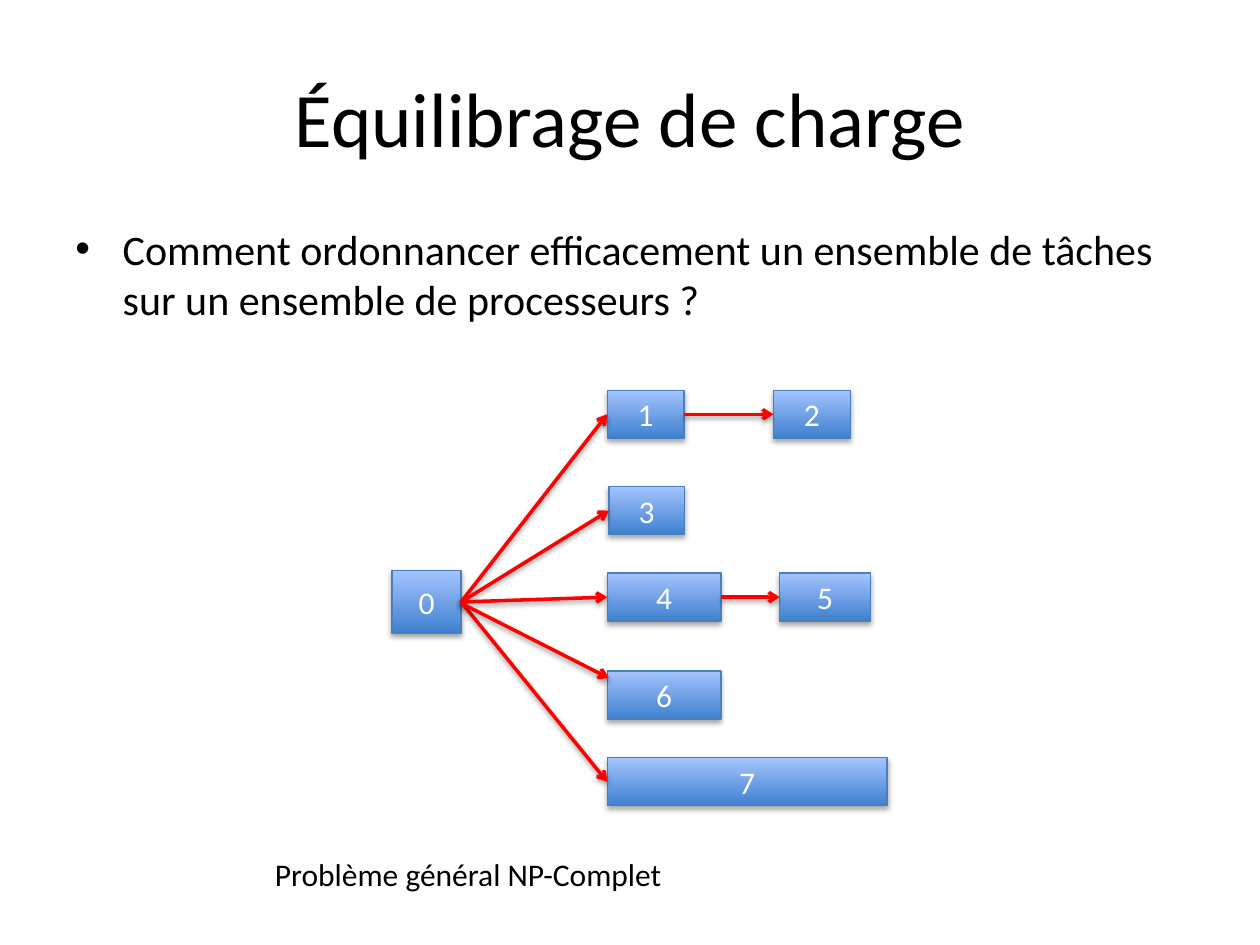
from lxml.etree import SubElement
from pptx import Presentation
from pptx.dml.color import RGBColor
from pptx.enum.shapes import MSO_CONNECTOR as Connector, MSO_SHAPE as Shape
from pptx.enum.text import MSO_ANCHOR as Anchor, PP_ALIGN as Align
from pptx.oxml.ns import qn
from pptx.util import Pt

BLACK, WHITE, RED = "000000", "FFFFFF", "FF0000"
BOX_BOTTOM, BOX_TOP, BOX_EDGE = "3F80CE", "A4C4FF", "4B7EBC"
LEFT_SITE, RIGHT_SITE = 1, 3
ROW_HEIGHT = 27.5

# Task number: left, top, width, height
TASKS = {
    0: (224, 326, 39.5, 36),
    4: (347, 327.5, 65, ROW_HEIGHT),
    6: (347, 383.5, 65, ROW_HEIGHT),
    5: (445.5, 327.5, 52, ROW_HEIGHT),
    2: (442, 223, 44, ROW_HEIGHT),
    3: (348, 278, 43, ROW_HEIGHT),
    7: (347, 433, 160, ROW_HEIGHT),
    1: (347, 223, 44, ROW_HEIGHT),
}
DEPENDENCIES = [(0, 1), (0, 3), (0, 4), (0, 7), (1, 2), (4, 5)]


def color(hex_value):
    return RGBColor.from_string(hex_value)


def points(*lengths):
    return [Pt(length) for length in lengths]


def set_values(target, values):
    for name, value in values.items():
        setattr(target, name, value)


def write(frame, text, size, hex_value, align=Align.LEFT):
    frame.text = text
    para = frame.paragraphs[0]
    para.alignment = align
    set_values(para.runs[0].font, {"name": "Calibri", "size": Pt(size)})
    para.runs[0].font.color.rgb = color(hex_value)
    return para


def add_shadow(properties, opacity, distance):
    effects = properties.find(qn("a:effectLst"))
    if effects is None:
        effects = SubElement(properties, qn("a:effectLst"))
    shadow = SubElement(effects, qn("a:outerShdw"), blurRad=str(Pt(3.1)),
                        dist=str(Pt(distance)), dir="5400000", rotWithShape="0")
    tone = SubElement(shadow, qn("a:srgbClr"), val=BLACK)
    SubElement(tone, qn("a:alpha"), val=str(opacity * 1000))


def add_title(slide, text):
    title = slide.shapes.title
    left, top, width, height = points(36, 21.6, 648, 90)
    set_values(title, {"left": left, "top": top, "width": width, "height": height})
    title.text_frame.vertical_anchor = Anchor.MIDDLE
    write(title.text_frame, text, 44, BLACK, Align.CENTER)


def add_text(slide, place, text, size, wrap):
    box = slide.shapes.add_textbox(*points(*place))
    box.text_frame.word_wrap = wrap
    return write(box.text_frame, text, size, BLACK)


def add_bullet(para, indent):
    properties = para._p.get_or_add_pPr()
    properties.set("marL", str(Pt(indent)))
    properties.set("indent", str(-Pt(indent)))
    SubElement(properties, qn("a:buFont"), typeface="Arial")
    SubElement(properties, qn("a:buChar"), char="•")


def add_task(slide, number, place):
    box = slide.shapes.add_shape(Shape.RECTANGLE, *points(*place))
    box.fill.gradient()
    box.fill.gradient_angle = 90
    for stop, hex_value in zip(box.fill.gradient_stops, (BOX_BOTTOM, BOX_TOP)):
        stop.color.rgb = color(hex_value)
    box.line.color.rgb = color(BOX_EDGE)
    box.line.width = Pt(0.75)
    box.shadow.inherit = False
    add_shadow(box._element.spPr, 35, 1.8)
    box.text_frame.vertical_anchor = Anchor.MIDDLE
    write(box.text_frame, str(number), 18, WHITE, Align.CENTER)
    return box


def add_arrow(slide, ends=(0, 0, 0, 0)):
    arrow = slide.shapes.add_connector(Connector.STRAIGHT, *points(*ends))
    arrow.line.color.rgb = color(RED)
    arrow.line.width = Pt(2)
    SubElement(arrow.line._get_or_add_ln(), qn("a:tailEnd"), type="arrow")
    add_shadow(arrow._element.spPr, 38, 1.6)
    return arrow


def main():
    deck = Presentation()
    deck.slide_width, deck.slide_height = points(720, 540)
    slide = deck.slides.add_slide(deck.slide_layouts[5])

    # Title and question
    add_title(slide, "Équilibrage de charge")
    question = add_text(
        slide, (36, 124, 648, 72),
        "Comment ordonnancer efficacement un ensemble de tâches "
        "sur un ensemble de processeurs ?", 24, True)
    add_bullet(question, 27)

    # Task graph
    boxes = {number: add_task(slide, number, place)
             for number, place in TASKS.items()}
    for source, target in DEPENDENCIES:
        arrow = add_arrow(slide)
        arrow.begin_connect(boxes[source], RIGHT_SITE)
        arrow.end_connect(boxes[target], LEFT_SITE)
    # The arrow to task 6 ends near its top corner
    add_arrow(slide, (265, 345.5, 348, 387.5))

    # Conclusion
    add_text(slide, (150, 485, 239, 29), "Problème général NP-Complet", 18, False)

    deck.save("out.pptx")


if __name__ == "__main__":
    main()
